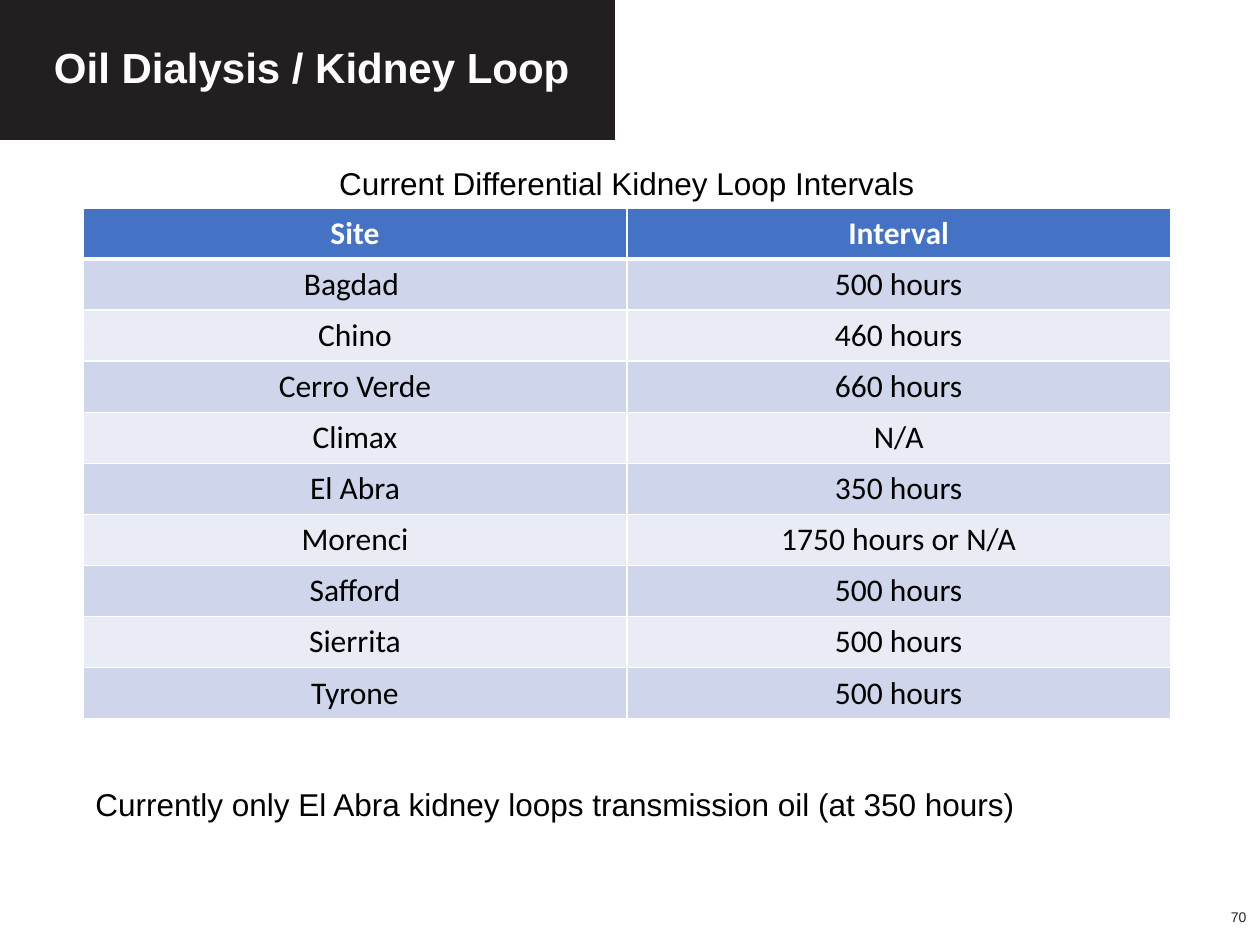
import pptx
import pptx.util
import pptx.dml.color
import pptx.enum.shapes
import pptx.enum.text
import pptx.oxml
import pptx.oxml.ns

Inches = pptx.util.Inches
Align = pptx.enum.text.PP_ALIGN
Anchor = pptx.enum.text.MSO_ANCHOR

ROWS = [
    ("Site", "Interval"),
    ("Bagdad ", "500 hours"),
    ("Chino", "460 hours"),
    ("Cerro Verde", "660 hours"),
    ("Climax", "N/A"),
    ("El Abra", "350 hours"),
    ("Morenci", "1750 hours or N/A"),
    ("Safford", "500 hours"),
    ("Sierrita", "500 hours"),
    ("Tyrone", "500 hours"),
]

THEME = {
    "banner": "231F20", "head": "4472C4", "bands": ("E9EBF5", "CFD5EA"),
    "rule": "FFFFFF", "thin": 1, "thick": 3,
    "title": {"name": "Arial", "size": 24, "bold": True, "color": "FFFFFF"},
    "body": {"name": "Arial", "size": 18, "bold": False, "color": "000000"},
    "page": {"name": "Arial", "size": 8, "bold": False, "color": "262626"},
    "top": {"name": "Calibri", "size": 18, "bold": True, "color": "FFFFFF"},
    "cell": {"name": "Calibri", "size": 18, "bold": False, "color": "000000"},
}

LEFT, WIDE = 0.66, 8.63
TEXTS = [
    ("Oil Dialysis / Kidney Loop", (0.33, 0.09, 6.25, 0.93), "title",
     {"alignment": Align.LEFT, "line_spacing": 0.9}, Anchor.MIDDLE),
    ("Current Differential Kidney Loop Intervals", (LEFT, 1.25, WIDE, 0.4),
     "body", {"alignment": Align.CENTER}, Anchor.TOP),
    ("Currently only El Abra kidney loops transmission oil (at 350 hours)",
     (LEFT, 6.18, WIDE, 0.4), "body", {"alignment": Align.LEFT}, Anchor.TOP),
    ("70", (9.54, 7.08, 0.45, 0.4), "page",
     {"alignment": Align.RIGHT}, Anchor.MIDDLE),
]


def tint(code):
    return pptx.dml.color.RGBColor.from_string(code)


def write(frame, text, style, form):
    para = frame.paragraphs[0]
    for key, val in form.items():
        setattr(para, key, val)
    run = para.add_run()
    run.text = text
    look = dict(THEME[style])
    run.font.color.rgb = tint(look.pop("color"))
    look["size"] = pptx.util.Pt(look["size"])
    for key, val in look.items():
        setattr(run.font, key, val)


def paint(shape, code):
    shape.fill.solid()
    shape.fill.fore_color.rgb = tint(code)


def edge(cell, row):
    props = cell._tc.get_or_add_tcPr()
    heavy = {"T": row == 1, "B": row == 0}
    for side in "LRTB":
        size = THEME["thick" if heavy.get(side) else "thin"]
        props.append(pptx.oxml.parse_xml(
            f'<a:ln{side} {pptx.oxml.ns.nsdecls("a")} w="{pptx.util.Pt(size)}">'
            f'<a:solidFill><a:srgbClr val="{THEME["rule"]}"/></a:solidFill>'
            f'</a:ln{side}>'))


def grid(slide):
    high = 0.4
    table = slide.shapes.add_table(
        len(ROWS), 2, Inches(LEFT), Inches(1.65),
        Inches(WIDE), Inches(high * len(ROWS))).table
    for row, texts in enumerate(ROWS):
        table.rows[row].height = Inches(high)
        code = THEME["bands"][row % 2] if row else THEME["head"]
        for col, text in enumerate(texts):
            cell = table.cell(row, col)
            edge(cell, row)
            paint(cell, code)
            write(cell.text_frame, text, "cell" if row else "top",
                  {"alignment": Align.CENTER})


def main():
    deck = pptx.Presentation()
    deck.slide_width, deck.slide_height = Inches(10), Inches(7.5)
    slide = deck.slides.add_slide(deck.slide_layouts[6])
    band = slide.shapes.add_shape(
        pptx.enum.shapes.MSO_SHAPE.RECTANGLE, 0, 0, Inches(4.88), Inches(1.11))
    band.shadow.inherit = False
    paint(band, THEME["banner"])
    band.line.fill.background()
    grid(slide)
    for text, place, style, form, anchor in TEXTS:
        frame = slide.shapes.add_textbox(*map(Inches, place)).text_frame
        frame.word_wrap = True
        frame.vertical_anchor = anchor
        write(frame, text, style, form)
    deck.save("out.pptx")


if __name__ == "__main__":
    main()
